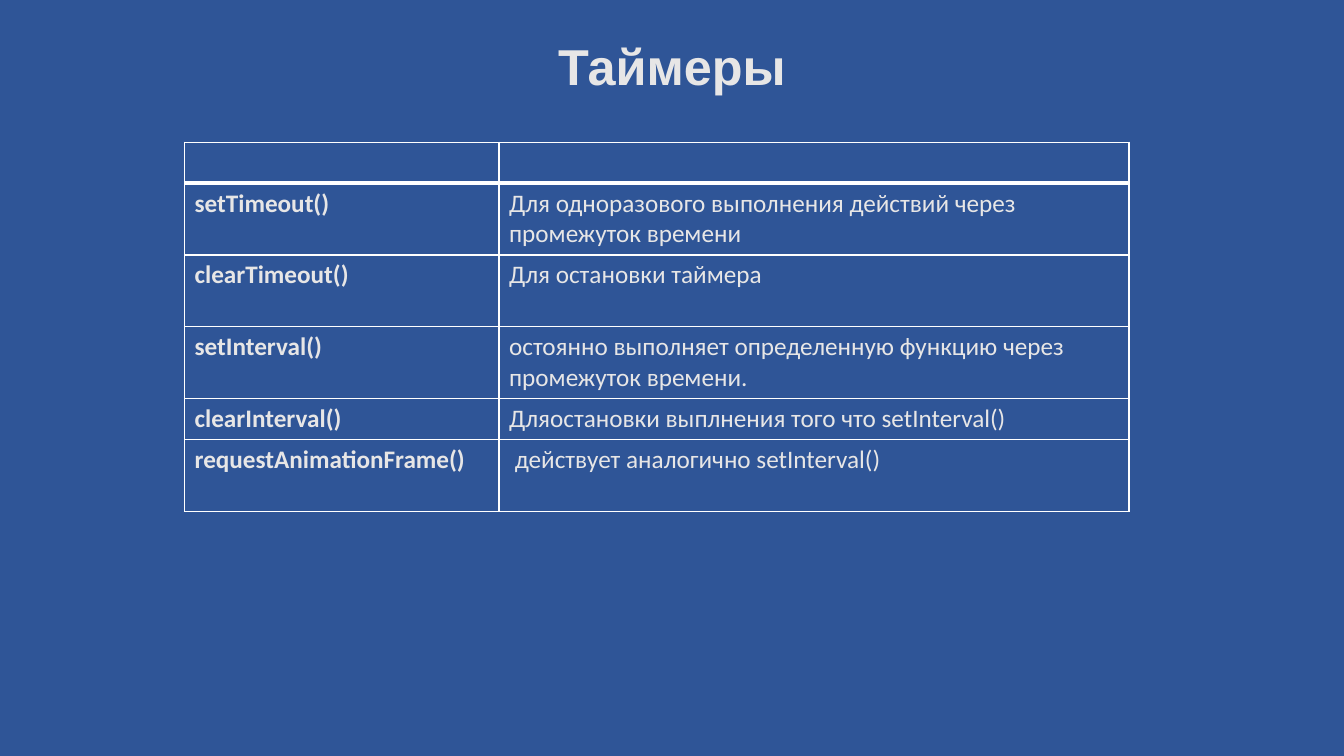
from lxml.etree import SubElement
from pptx import Presentation
from pptx.dml.color import RGBColor
from pptx.enum.text import MSO_ANCHOR as Anchor, PP_ALIGN as Align
from pptx.oxml.ns import qn
from pptx.util import Inches, Pt

BLUE = RGBColor(0x2F, 0x55, 0x97)
LIGHT = RGBColor(0xE7, 0xE6, 0xE6)
WHITE = RGBColor(0xFF, 0xFF, 0xFF)

TIMERS = [
    ("", ""),
    ("setTimeout()", "Для одноразового выполнения действий через промежуток времени"),
    ("clearTimeout()", "Для остановки таймера"),
    ("setInterval()", "остоянно выполняет определенную функцию через промежуток времени."),
    ("clearInterval()", "Дляостановки выплнения того что setInterval()"),
    ("requestAnimationFrame()", " действует аналогично setInterval()"),
]
COLUMN_WIDTHS = [23.4, 46.88]
SINGLE, DOUBLE = 5.43, 9.5
ROW_HEIGHTS = [SINGLE, DOUBLE, DOUBLE, DOUBLE, SINGLE, DOUBLE]


class SlideBuilder:
    """Holds the style and the slide; lengths are percentages of the slide's size."""

    title_font, body_font = "Arial", "Calibri"
    title_size, body_size = Pt(36), Pt(18)

    def __init__(self, prs):
        self.width, self.height = prs.slide_width, prs.slide_height
        self.s = prs.slides.add_slide(prs.slide_layouts[6])
        fill = self.s.background.fill
        fill.solid()
        fill.fore_color.rgb = BLUE

    def x(self, share):
        return round(self.width * share / 100)

    def y(self, share):
        return round(self.height * share / 100)

    def style(self, p, name, size, bold):
        for r in p.runs:
            r.font.name, r.font.size, r.font.bold = name, size, bold
            r.font.color.rgb = LIGHT

    def title(self, text, left, top, width, height):
        sp = self.s.shapes.add_textbox(self.x(left), self.y(top), self.x(width), self.y(height))
        tf = sp.text_frame
        tf.word_wrap = True
        tf.vertical_anchor = Anchor.BOTTOM
        tf.text = text
        p = tf.paragraphs[0]
        p.alignment, p.line_spacing = Align.CENTER, 0.9
        self.style(p, self.title_font, self.title_size, True)

    def borders(self, cell, top, bottom):
        """Draw white cell edges; top and bottom are widths in points."""
        tcPr = cell._tc.get_or_add_tcPr()
        for side, points in (("L", 1), ("R", 1), ("T", top), ("B", bottom)):
            ln = SubElement(tcPr, qn(f"a:ln{side}"), w=str(Pt(points)))
            fill = SubElement(ln, qn("a:solidFill"))
            SubElement(fill, qn("a:srgbClr"), val=str(WHITE))

    def table(self, rows, left, top, widths, heights):
        frame = self.s.shapes.add_table(
            len(rows), len(widths), self.x(left), self.y(top),
            self.x(sum(widths)), self.y(sum(heights)))
        table = frame.table
        table.first_row = table.horz_banding = False
        for column, width in zip(table.columns, widths):
            column.width = self.x(width)
        for i, (texts, height) in enumerate(zip(rows, heights)):
            table.rows[i].height = self.y(height)
            for j, text in enumerate(texts):
                cell = table.cell(i, j)
                cell.text = text
                self.style(cell.text_frame.paragraphs[0], self.body_font, self.body_size, j == 0)
                self.borders(cell, top=3 if i == 1 else 1, bottom=3 if i == 0 else 1)
                cell.fill.background()


def main():
    prs = Presentation()
    prs.slide_width, prs.slide_height = Inches(13.33), Inches(7.5)
    slide = SlideBuilder(prs)
    slide.title("Таймеры", 12.5, 4.13, 75, 9.33)
    slide.table(TIMERS, 13.73, 18.8, COLUMN_WIDTHS, ROW_HEIGHTS)
    prs.save("out.pptx")


if __name__ == "__main__":
    main()
